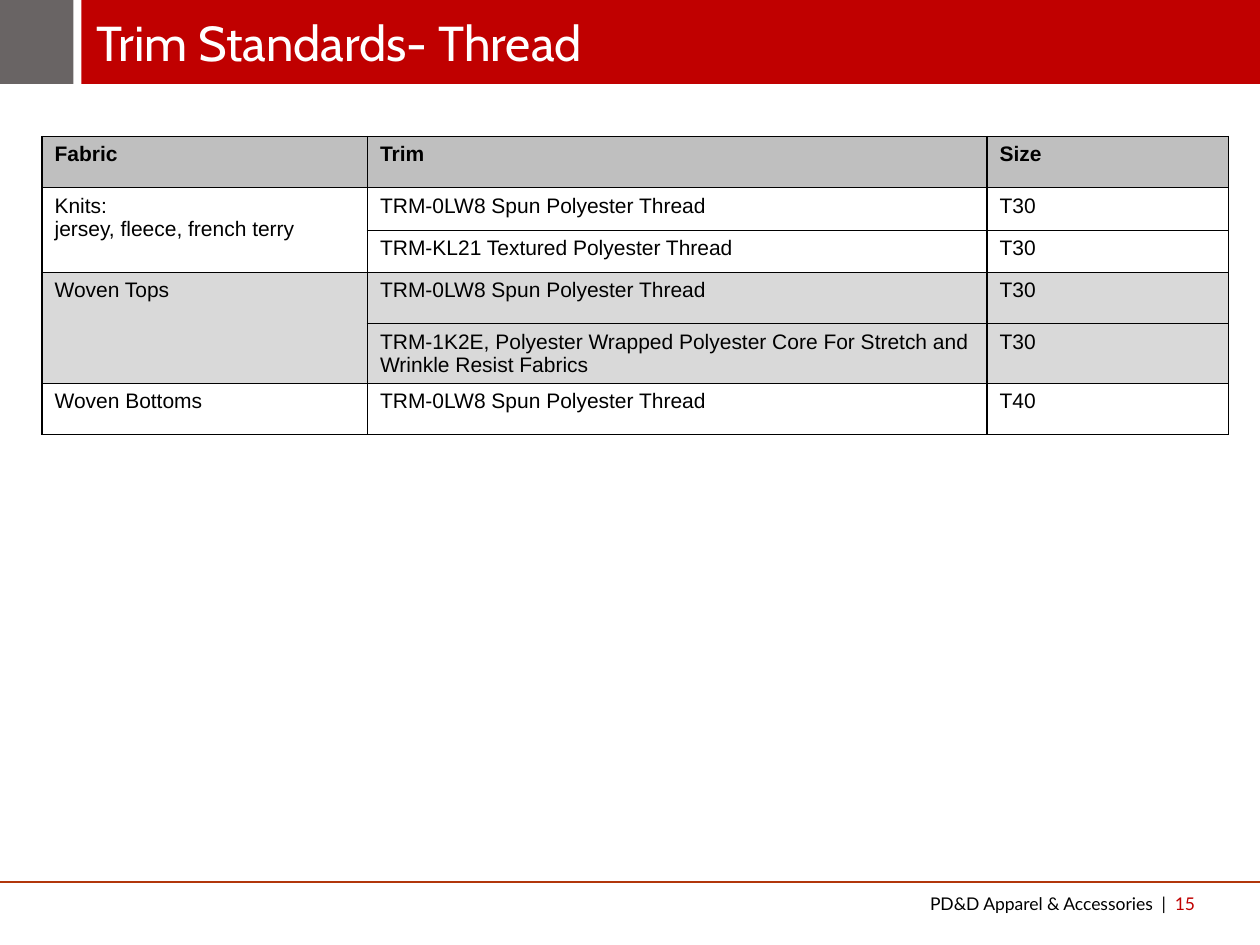
from dataclasses import dataclass

from lxml.etree import SubElement
from pptx import Presentation
from pptx.dml.color import RGBColor
from pptx.enum.shapes import MSO_CONNECTOR, MSO_SHAPE
from pptx.enum.text import MSO_ANCHOR, MSO_AUTO_SIZE, PP_ALIGN
from pptx.oxml.ns import qn
from pptx.util import Pt


@dataclass(frozen=True)
class Theme:
    red: str = "C00000"
    gray: str = "696464"
    rule: str = "B1360B"
    black: str = "000000"
    white: str = "FFFFFF"
    header: str = "BFBFBF"
    band: str = "D9D9D9"
    title_size: int = 28
    table_size: int = 12
    footer_size: int = 10


theme = Theme()


def style_font(font, name, size, color, bold=False):
    font.name = name
    font.size = Pt(size)
    font.bold = bold
    font.color.rgb = RGBColor.from_string(color)


def add_borders(cell):
    tcPr = cell._tc.get_or_add_tcPr()
    for side in ("lnL", "lnR", "lnT", "lnB"):
        ln = SubElement(tcPr, qn(f"a:{side}"), w=str(Pt(1)))
        fill = SubElement(ln, qn("a:solidFill"))
        SubElement(fill, qn("a:srgbClr"), val=theme.black)


prs = Presentation()
prs.slide_width, prs.slide_height = Pt(720), Pt(540)
s = prs.slides.add_slide(prs.slide_layouts[5])

for left, width, color in ((46.5, 673.5, theme.red), (0, 42, theme.gray)):
    sp = s.shapes.add_shape(MSO_SHAPE.RECTANGLE, Pt(left), 0, Pt(width), Pt(48))
    sp.shadow.inherit = False
    sp.fill.solid()
    sp.fill.fore_color.rgb = RGBColor.from_string(color)
    sp.line.fill.background()

footer = s.shapes.add_textbox(Pt(60), Pt(504), Pt(630), Pt(24))
tf = footer.text_frame
tf.word_wrap = True
tf.vertical_anchor = MSO_ANCHOR.MIDDLE
p = tf.paragraphs[0]
p.alignment = PP_ALIGN.RIGHT
for text, color in (("PD&D Apparel & Accessories  |  ", theme.black), ("15", theme.red)):
    r = p.add_run()
    r.text = text
    style_font(r.font, "Lato", theme.footer_size, color)

rule = s.shapes.add_connector(MSO_CONNECTOR.STRAIGHT, 0, Pt(504), Pt(720), Pt(504))
rule.line.color.rgb = RGBColor.from_string(theme.rule)
rule.line.width = Pt(0.75)
SubElement(rule._element.spPr, qn("a:effectLst"))

title = s.shapes.title
title.left, title.top, title.width, title.height = Pt(48), 0, Pt(612), Pt(48)
tf = title.text_frame
tf.text = "Trim Standards- Thread"
tf.auto_size = MSO_AUTO_SIZE.NONE
tf.word_wrap = True
tf.vertical_anchor = MSO_ANCHOR.BOTTOM
tf.margin_left = tf.margin_right = tf.margin_bottom = Pt(7.2)
tf.margin_top = Pt(3.6)
p = tf.paragraphs[0]
p.alignment = PP_ALIGN.LEFT
style_font(p.runs[0].font, "Cabin", theme.title_size, theme.white)
s.shapes._spTree.append(title._element)

rows = (
    (29.25, theme.header, ("Fabric", "Trim", "Size")),
    (24.5, theme.white, ("Knits:\njersey, fleece, french terry", "TRM-0LW8 Spun Polyester Thread", "T30")),
    (24, theme.white, ("", "TRM-KL21 Textured Polyester Thread", "T30")),
    (29.25, theme.band, ("Woven Tops", "TRM-0LW8 Spun Polyester Thread", "T30")),
    (29.25, theme.band, ("", "TRM-1K2E, Polyester Wrapped Polyester Core For Stretch and Wrinkle Resist Fabrics", "T30")),
    (29.25, theme.white, ("Woven Bottoms", "TRM-0LW8 Spun Polyester Thread", "T40")),
)
col_widths = (186, 354, 138)
height = sum(row[0] for row in rows)
table = s.shapes.add_table(
    len(rows), len(col_widths), Pt(24), Pt(78), Pt(sum(col_widths)), Pt(height)
).table
table.horz_banding = False
for column, width in zip(table.columns, col_widths):
    column.width = Pt(width)
for i, (row_height, fill, texts) in enumerate(rows):
    table.rows[i].height = Pt(row_height)
    for j, text in enumerate(texts):
        cell = table.cell(i, j)
        add_borders(cell)
        cell.fill.solid()
        cell.fill.fore_color.rgb = RGBColor.from_string(fill)
        cell.text_frame.text = text
        for p in cell.text_frame.paragraphs:
            style_font(p.font, "Arial", theme.table_size, theme.black, i == 0)
            for r in p.runs:
                style_font(r.font, "Arial", theme.table_size, theme.black, i == 0)
for top in (1, 3):
    table.cell(top, 0).merge(table.cell(top + 1, 0))

prs.save("out.pptx")
